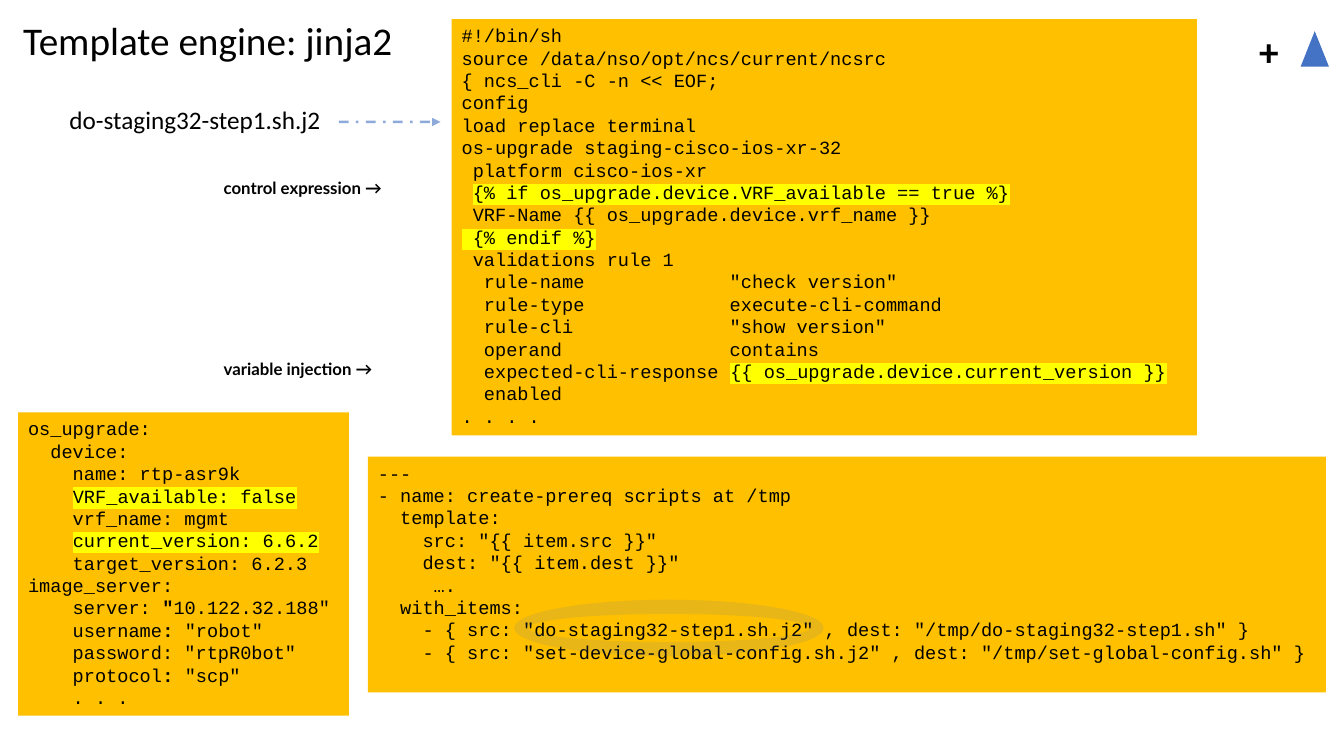
from lxml.etree import SubElement
from pptx import Presentation
from pptx.dml.color import RGBColor
from pptx.enum.dml import MSO_LINE_DASH_STYLE as Dash
from pptx.enum.shapes import MSO_CONNECTOR_TYPE as Connector, MSO_SHAPE as Shape
from pptx.enum.text import MSO_ANCHOR as Anchor, PP_ALIGN as Align
from pptx.oxml.ns import qn
from pptx.util import Inches, Pt

BLUE, AMBER, YELLOW, BLACK = "4472C4", "FFC000", "FFFF00", "000000"
HIGHLIGHT_MARK, BOLD_MARK = "§", "¤"

SHELL_TEMPLATE = """#!/bin/sh
source /data/nso/opt/ncs/current/ncsrc
{ ncs_cli -C -n << EOF;
config
load replace terminal
os-upgrade staging-cisco-ios-xr-32
 platform cisco-ios-xr
 §{% if os_upgrade.device.VRF_available == true %}§
 VRF-Name {{ os_upgrade.device.vrf_name }}
§ {% endif %}§
 validations rule 1
  rule-name             "check version"
  rule-type             execute-cli-command
  rule-cli              "show version"
  operand               contains
  expected-cli-response §{{ os_upgrade.device.current_version }}§
  enabled
. . . ."""

VARIABLES = """os_upgrade:
  device:
    name: rtp-asr9k
    §VRF_available: false§
    vrf_name: mgmt
    §current_version: 6.6.2§
    target_version: 6.2.3
image_server:
    server: ¤"¤10.122.32.188"
    username¤: ¤"robot"
    password: "rtpR0bot"
    protocol¤: ¤"scp"
    . . ."""

PLAYBOOK = """---
- name: create-prereq scripts at /tmp
  template:
    src: "{{ item.src }}"
    dest: "{{ item.dest }}"
     ….
  with_items:
    - { src: "do-staging32-step1.sh.j2" , dest: "/tmp/do-staging32-step1.sh" }
    - { src: "set-device-global-config.sh.j2" , dest: "/tmp/set-global-config.sh" }"""


def color(value):
    """Turn a hex string into a colour."""
    return RGBColor.from_string(value)


def set_font(font, name, size, bold=False):
    """Apply black text in the given face and size."""
    font.name, font.size, font.bold = name, Pt(size), bold
    font.color.rgb = color(BLACK)


def set_alpha(element, percent):
    """Make the solid colour below an element partly transparent."""
    SubElement(element.find(".//" + qn("a:schemeClr")) if element.find(".//" + qn("a:srgbClr")) is None
               else element.find(".//" + qn("a:srgbClr")), qn("a:alpha"), val=str(percent * 1000))


def highlight(run):
    """Mark a run in yellow."""
    properties = run.font._element if hasattr(run.font, "_element") else run._r.get_or_add_rPr()
    marker = SubElement(properties, qn("a:highlight"))
    SubElement(marker, qn("a:srgbClr"), val=YELLOW)
    properties.find(qn("a:solidFill")).addnext(marker)


def add_plain_shape(slide, kind, box, fill):
    """Add a flat shape without outline."""
    shape = slide.shapes.add_shape(kind, *map(Inches, box))
    shape.shadow.inherit = False
    shape.fill.solid()
    shape.fill.fore_color.rgb = color(fill)
    shape.line.fill.background()
    return shape


def add_code_panel(slide, box, code):
    """Fill an amber panel with marked-up code lines."""
    frame = add_plain_shape(slide, Shape.RECTANGLE, box, AMBER).text_frame
    frame.word_wrap, frame.vertical_anchor = True, Anchor.TOP
    for number, line in enumerate(code.split("\n")):
        paragraph = frame.add_paragraph() if number else frame.paragraphs[0]
        paragraph.alignment, paragraph.line_spacing = Align.LEFT, Pt(16)
        for part, section in enumerate(line.split(HIGHLIGHT_MARK)):
            for piece, words in enumerate(section.split(BOLD_MARK)):
                if words:
                    run = paragraph.add_run()
                    run.text = words
                    set_font(run.font, "Courier New", 13.3, piece % 2 == 1)
                    if part % 2:
                        highlight(run)


def add_label(slide, box, words, name, size, bold=False):
    """Add a one-line label."""
    frame = slide.shapes.add_textbox(*map(Inches, box)).text_frame
    frame.text = words
    frame.word_wrap = False
    set_font(frame.paragraphs[0].runs[0].font, name, size, bold)


def add_title(slide, box, words):
    """Place the slide title."""
    title = slide.shapes.title
    title.left, title.top, title.width, title.height = map(Inches, box)
    frame = title.text_frame
    frame.text = words
    frame.word_wrap, frame.vertical_anchor = True, Anchor.TOP
    frame.paragraphs[0].alignment = Align.LEFT
    set_font(frame.paragraphs[0].runs[0].font, "Calibri", 28)


def add_file_pointer(slide, left, top, width):
    """Add the dashed arrow from the file name to its content."""
    pointer = slide.shapes.add_connector(
        Connector.STRAIGHT, Inches(left), Inches(top), Inches(left + width), Inches(top))
    pointer.line.color.rgb = color(BLUE)
    pointer.line.width, pointer.line.dash_style = Pt(1.75), Dash.DASH_DOT
    properties = pointer._element.spPr
    set_alpha(properties, 60)
    SubElement(pointer.line._get_or_add_ln(), qn("a:tailEnd"), type="triangle")
    SubElement(properties, qn("a:effectLst"))


def add_tool_mark(slide, left, top):
    """Add the plus sign and a plain mark for the companion tool."""
    add_label(slide, (left, top, 0.4, 0.57), "+", "Calibri", 28, True)
    add_plain_shape(slide, Shape.ISOSCELES_TRIANGLE, (left + 0.51, top + 0.09, 0.28, 0.35), BLUE)


def build_template_slide(slide):
    """Lay out the template, its variables and the playbook."""
    add_label(slide, (2.12, 1.71, 2.39, 0.3), "control expression →", "Lato", 12, True)
    add_label(slide, (2.12, 3.51, 2.39, 0.3), "variable injection →", "Lato", 12, True)
    add_code_panel(slide, (0.18, 4.09, 3.28, 3.01), VARIABLES)
    add_tool_mark(slide, 12.39, 0.22)
    add_code_panel(slide, (4.48, 0.19, 7.39, 4.13), SHELL_TEMPLATE)
    add_title(slide, (0.13, 0.11, 4.24, 0.57), "Template engine: jinja2")
    add_code_panel(slide, (3.65, 4.53, 9.5, 2.34), PLAYBOOK)
    add_label(slide, (0.59, 0.99, 2.71, 0.4), "do-staging32-step1.sh.j2", "Calibri", 18)
    add_file_pointer(slide, 3.36, 1.21, 1.01)
    ring = add_plain_shape(slide, Shape.DONUT, (5.1, 5.95, 3.07, 0.56), BLUE)
    set_alpha(ring._element.spPr, 12)


def main():
    """Create and save the presentation."""
    deck = Presentation()
    deck.slide_width, deck.slide_height = Inches(13.33), Inches(7.5)
    build_template_slide(deck.slides.add_slide(deck.slide_layouts[5]))
    deck.save("out.pptx")


if __name__ == "__main__":
    main()
